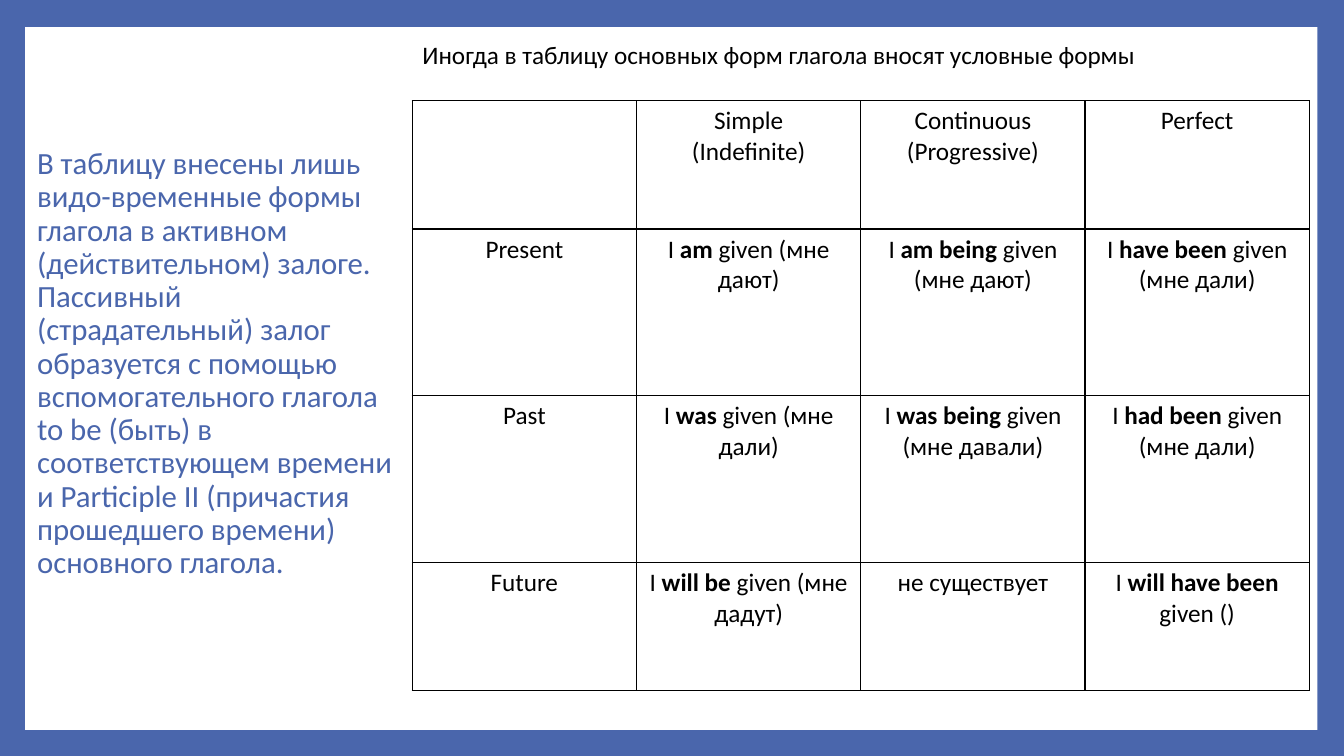
"""Build a slide on passive verb forms with a side note and a tense table."""
import pptx
import pptx.util
import pptx.dml.color
import pptx.enum.shapes
import pptx.enum.text
import lxml.etree

Pt = pptx.util.Pt
ALIGN = pptx.enum.text.PP_ALIGN
FONT = "Calibri"
COLORS = {"blue": "4A66AC", "white": "FFFFFF", "black": "000000"}
HEAD = "Иногда в таблицу основных форм глагола вносят условные формы"
NOTE = (
    "В таблицу внесены лишь видо-временные формы глагола в активном "
    "(действительном) залоге. Пассивный (страдательный) залог образуется "
    "с помощью вспомогательного глагола to be (быть) в соответствующем "
    "времени и Participle II (причастия прошедшего времени) основного глагола."
)
FORMS = [
    ["", "Simple\n(Indefinite)", "Continuous\n(Progressive)", "Perfect"],
    ["Present", "I |am |given (мне дают)", "I| am being |given (мне дают)",
     "I| have been |given (мне дали)"],
    ["Past", "I| was |given (мне дали)", "I| was being |given (мне давали)",
     "I| had been |given (мне дали)"],
    ["Future", "I| will be |given (мне дадут)", "не существует",
     "I| will have been |given ()"],
]
ROWS = [91.6, 119, 119, 91.6]
COL = 160.2


def color(name):
    return pptx.dml.color.RGBColor.from_string(COLORS[name])


def style(run, size, name, bold=False):
    font = run.font
    font.name, font.size, font.bold = FONT, Pt(size), bold
    font.color.rgb = color(name)


def place(shape, left, top, width, height):
    shape.left, shape.top = Pt(left), Pt(top)
    shape.width, shape.height = Pt(width), Pt(height)


def write(shape, text, size, name, space=1.0):
    frame = shape.text_frame
    frame.text = text
    frame.word_wrap = True
    frame.auto_size = pptx.enum.text.MSO_AUTO_SIZE.NONE
    frame.vertical_anchor = pptx.enum.text.MSO_ANCHOR.TOP
    para = frame.paragraphs[0]
    para.alignment = ALIGN.LEFT
    para.line_spacing = space
    style(para.runs[0], size, name)


def add_panel(slide):
    kind = pptx.enum.shapes.MSO_SHAPE.RECTANGLE
    panel = slide.shapes.add_shape(kind, Pt(18), Pt(19.4), Pt(923), Pt(502))
    panel.shadow.inherit = False
    panel.fill.solid()
    panel.fill.fore_color.rgb = color("white")
    panel.line.fill.background()


def add_note(slide):
    box = slide.shapes.add_textbox(Pt(19.4), Pt(102.2), Pt(275), Pt(349.2))
    write(box, NOTE, 22, "blue", 0.9)


def add_head(slide):
    title = slide.shapes.title
    place(title, 294.5, 24.5, 640.8, 29)
    write(title, HEAD, 18, "black")
    tree = slide.shapes.element
    tree.remove(title.element)
    tree.append(title.element)


def add_edges(cell):
    props = cell._tc.get_or_add_tcPr()
    space = "http://schemas.openxmlformats.org/drawingml/2006/main"
    for spot, side in enumerate(("lnL", "lnR", "lnT", "lnB")):
        edge = lxml.etree.fromstring(
            f'<a:{side} xmlns:a="{space}" w="12700"><a:solidFill>'
            f'<a:srgbClr val="{COLORS["black"]}"/></a:solidFill></a:{side}>')
        props.insert(spot, edge)


def fill_cell(cell, text):
    parts = text.split("|")
    para = cell.text_frame.paragraphs[0]
    para.text = parts[0]
    for part in parts[1:]:
        para.add_run().text = part
    para.alignment = ALIGN.CENTER
    para.font.size = Pt(18)
    for run in para.runs:
        style(run, 18, "black", run.text in parts[1:2])
    cell.fill.background()
    add_edges(cell)


def add_forms(slide):
    count = len(FORMS[0])
    frame = slide.shapes.add_table(
        len(FORMS), count, Pt(294.5), Pt(72), Pt(COL * count), Pt(sum(ROWS)))
    table = frame.table
    table.first_row = table.horz_banding = False
    for col in table.columns:
        col.width = Pt(COL)
    for row, height, texts in zip(table.rows, ROWS, FORMS):
        row.height = Pt(height)
        for cell, text in zip(row.cells, texts):
            fill_cell(cell, text)


def main():
    deck = pptx.Presentation()
    deck.slide_width, deck.slide_height = Pt(960), Pt(540)
    slide = deck.slides.add_slide(deck.slide_layouts[5])
    back = slide.background.fill
    back.solid()
    back.fore_color.rgb = color("blue")
    add_panel(slide)
    add_note(slide)
    add_forms(slide)
    add_head(slide)
    deck.save("out.pptx")


if __name__ == "__main__":
    main()
